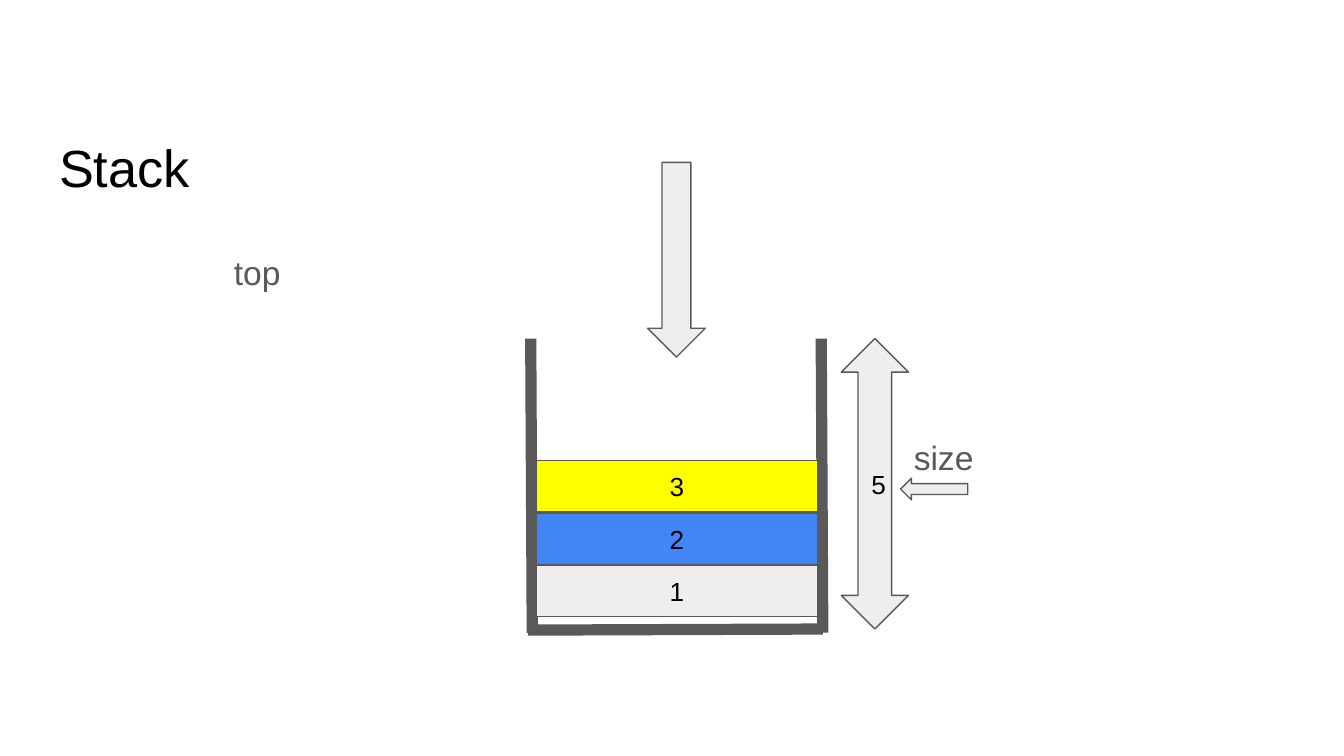
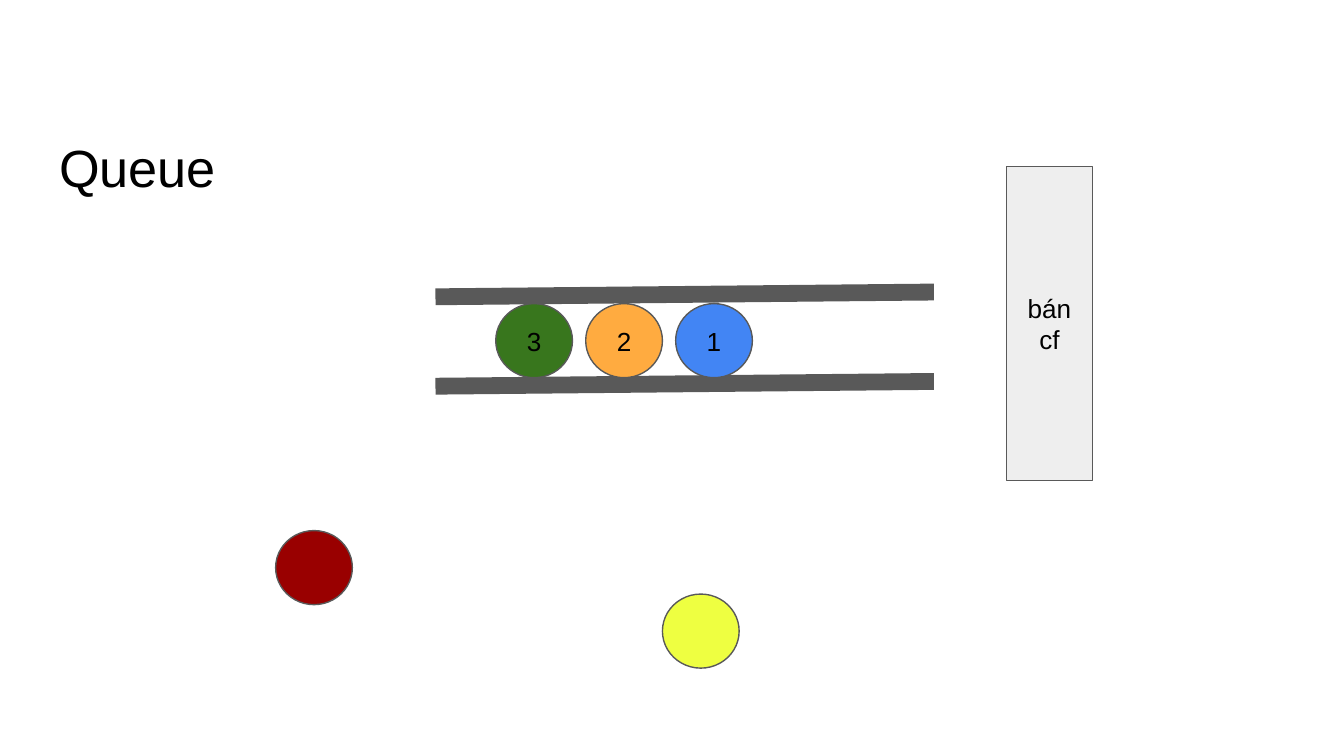
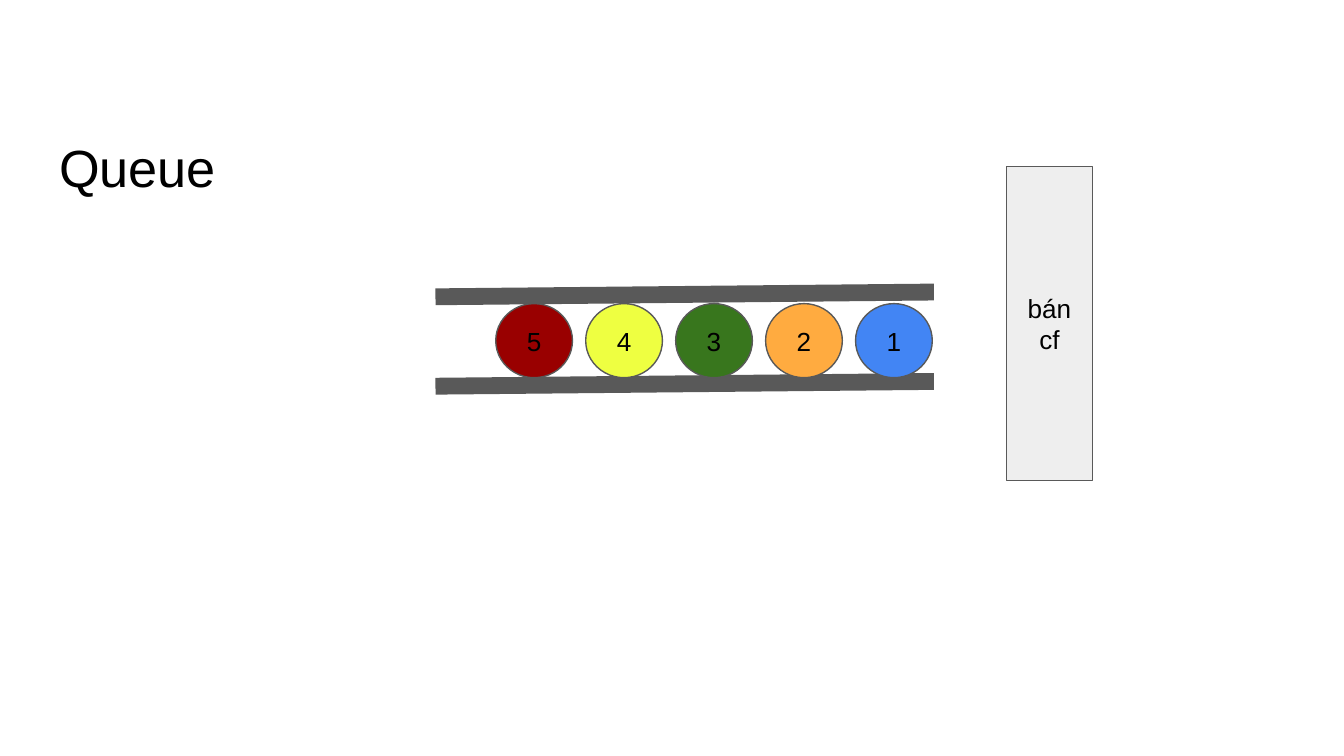
import pptx
import pptx.dml.color
import pptx.enum.shapes
import pptx.enum.text
import pptx.oxml.ns
import pptx.util
from pptx.util import Cm
from lxml import etree

SHAPES = pptx.enum.shapes.MSO_SHAPE
ANCHOR = pptx.enum.text.MSO_ANCHOR
ALIGN = pptx.enum.text.PP_ALIGN

FONT = "Arial"
BLACK = "000000"
GREY = "595959"
LIGHT = "EEEEEE"
INSET = 0.25
BLOCK_COLOURS = [LIGHT, "4285F4", "FFFF00"]
PERSON_COLOURS = ["4285F4", "FFAB40", "38761D", "EEFF41", "990000"]
PERSON_WIDTH, PERSON_HEIGHT = 1.45, 1.4


def colour(value):
    """Turn a hex string into a colour."""
    return pptx.dml.color.RGBColor.from_string(value)


def write(shape, text, size, text_colour, anchor, alignment):
    """Write one line of text into a shape."""
    frame = shape.text_frame
    frame.word_wrap = True
    frame.vertical_anchor = anchor
    frame.margin_left = frame.margin_right = Cm(INSET)
    frame.margin_top = frame.margin_bottom = Cm(INSET)
    paragraph = frame.paragraphs[0]
    paragraph.alignment = alignment
    run = paragraph.add_run()
    run.text = text
    run.font.name = FONT
    run.font.size = pptx.util.Pt(size)
    run.font.color.rgb = colour(text_colour)


def add_label(slide, text, left, top, width, height, size=18, text_colour=GREY, anchor=ANCHOR.TOP):
    """Add a left-aligned text box."""
    box = slide.shapes.add_textbox(Cm(left), Cm(top), Cm(width), Cm(height))
    write(box, text, size, text_colour, anchor, ALIGN.LEFT)


def add_figure(slide, kind, left, top, width, height, fill=LIGHT, text=""):
    """Add an outlined shape with an optional centred text."""
    shape = slide.shapes.add_shape(kind, Cm(left), Cm(top), Cm(width), Cm(height))
    shape.shadow.inherit = False
    shape.fill.solid()
    shape.fill.fore_color.rgb = colour(fill)
    shape.line.color.rgb = colour(GREY)
    shape.line.width = pptx.util.Pt(0.75)
    if text:
        write(shape, text, 14, BLACK, ANCHOR.MIDDLE, ALIGN.CENTER)


def add_wall(slide, start_x, start_y, end_x, end_y, width):
    """Add a thick straight line."""
    wall = slide.shapes.add_connector(
        pptx.enum.shapes.MSO_CONNECTOR.STRAIGHT, Cm(start_x), Cm(start_y), Cm(end_x), Cm(end_y))
    wall.line.color.rgb = colour(GREY)
    wall.line.width = pptx.util.Pt(width)
    etree.SubElement(wall._element.spPr, pptx.oxml.ns.qn("a:effectLst"))


def add_titled_slide(presentation, title):
    """Add a blank slide with the shared title."""
    slide = presentation.slides.add_slide(presentation.slide_layouts[6])
    add_label(slide, title, 0.87, 2.07, 23.67, 1.93, 28, BLACK, ANCHOR.BOTTOM)
    return slide


def add_container(slide, left, top, side):
    """Draw the open container, its blocks and the arrow entering it."""
    for wall_x in (left, left + side):
        add_wall(slide, wall_x, top, wall_x + 0.03, top + side + 0.07, 6)
    add_wall(slide, left + side + 0.03, top + side, left - 0.05, top + side + 0.02, 6)
    for index, fill in enumerate(BLOCK_COLOURS):
        block_top = top + 4.29 - index * 0.99
        add_figure(slide, SHAPES.RECTANGLE, left + 0.1, block_top, 5.33, 0.97, fill, str(index + 1))
    add_figure(slide, SHAPES.DOWN_ARROW, left + 2.21, top - 3.33, 1.09, 3.68)


def add_size_gauge(slide, left, top, height):
    """Draw the capacity arrow and the pointer naming it."""
    add_figure(slide, SHAPES.UP_DOWN_ARROW, left, top, 1.27, height, text="5")
    add_figure(slide, SHAPES.LEFT_ARROW, left + 1.12, top + 2.64, 1.27, 0.41)
    add_label(slide, "size", left + 1.12, top + 1.7, 1.75, 0.41)


def add_person(slide, number, left, top, text=""):
    """Draw one person as a circle in their own colour."""
    add_figure(slide, SHAPES.OVAL, left, top, PERSON_WIDTH, PERSON_HEIGHT,
               PERSON_COLOURS[number - 1], text)


def add_lane(slide, left, top, width, count):
    """Draw the lane with its people, the first one furthest right."""
    for wall_y in (top, top + 1.69):
        add_wall(slide, left, wall_y, left + width, wall_y - 0.09, 9)
    for number in range(1, count + 1):
        person_left = left + 1.14 + (count - number) * 1.7
        add_person(slide, number, person_left, top + 0.13, str(number))


def build_stack_slide(presentation):
    """Build the stack slide."""
    slide = add_titled_slide(presentation, "Stack")
    add_container(slide, 10.03, 6.4, 5.49)
    add_size_gauge(slide, 15.9, 6.4, 5.49)
    add_label(slide, "top", 4.17, 4.52, 4.85, 0.81)


def build_queue_slide(presentation, count, outsiders):
    """Build a queue slide with people in the lane and outside it."""
    slide = add_titled_slide(presentation, "Queue")
    add_lane(slide, 8.23, 5.61, 9.42, count)
    add_figure(slide, SHAPES.RECTANGLE, 19.02, 3.15, 1.63, 5.94, text="bán cf")
    for number, left, top in outsiders:
        add_person(slide, number, left, top)


def main():
    """Build and save the presentation."""
    presentation = pptx.Presentation()
    presentation.slide_width = Cm(25.4)
    presentation.slide_height = Cm(14.29)
    build_stack_slide(presentation)
    build_queue_slide(presentation, 3, [(4, 12.52, 11.23), (5, 5.21, 10.03)])
    build_queue_slide(presentation, 5, [])
    presentation.save("out.pptx")


if __name__ == "__main__":
    main()
